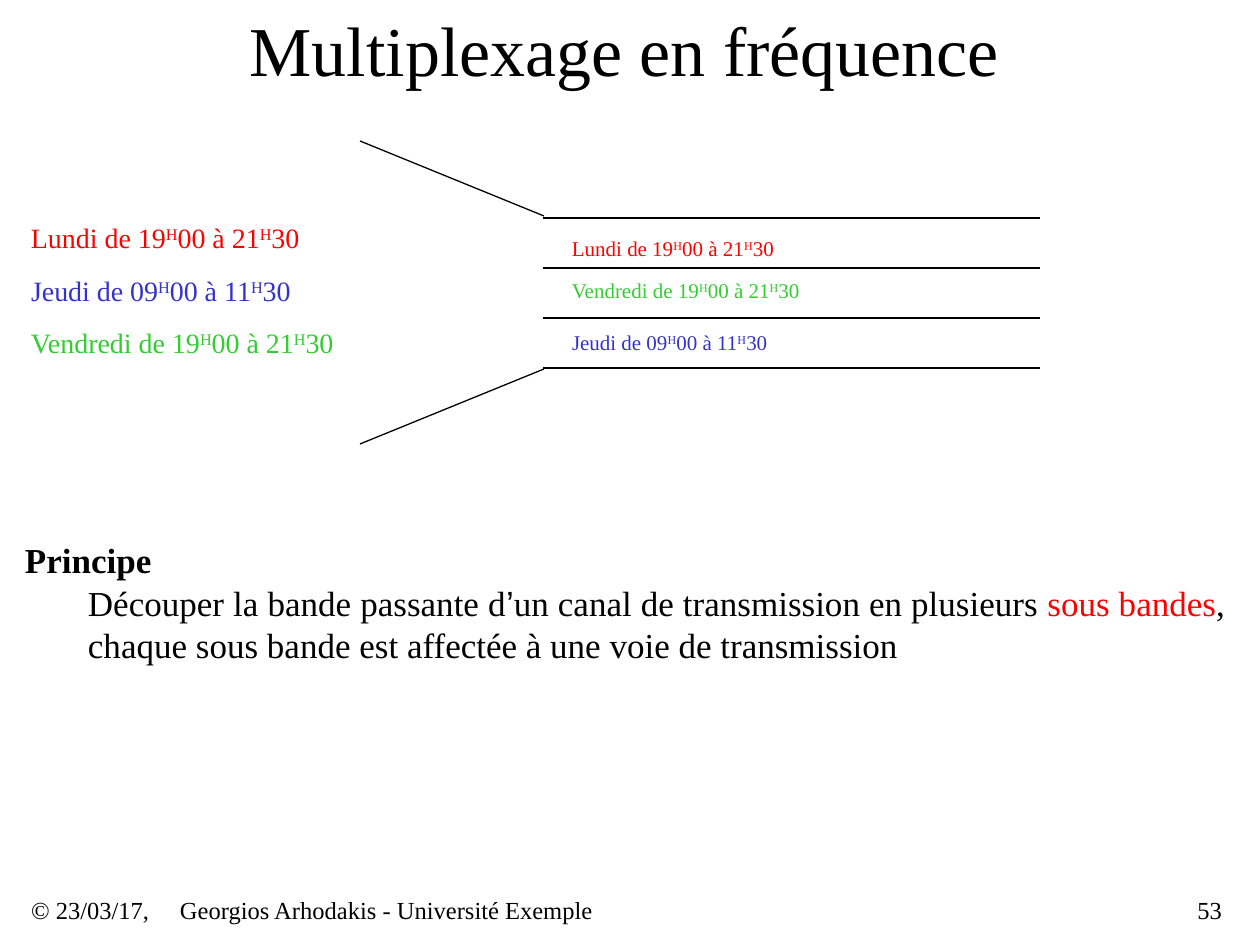
from typing import NamedTuple

from lxml.etree import SubElement
from pptx import Presentation
from pptx.dml.color import RGBColor
from pptx.enum.shapes import MSO_CONNECTOR
from pptx.enum.text import MSO_ANCHOR, PP_ALIGN
from pptx.oxml.ns import qn
from pptx.util import Emu, Inches, Pt

EMU_PER_PX = 914400 / 126
COLORS = {"black": "000000", "red": "FF0000", "blue": "3333CC", "green": "33CC33"}
SERIF = "Times New Roman"


class Box(NamedTuple):
    left: int
    top: int
    width: int
    height: int


class Slot(NamedTuple):
    text: str
    color: str
    width: int
    source_top: int
    band_top: int


class Footer(NamedTuple):
    text: str
    box: Box
    align: PP_ALIGN


SLOTS = [
    Slot("Lundi de 19H00 à 21H30", "red", 287, 220, 231),
    Slot("Jeudi de 09H00 à 11H30", "blue", 282, 273, 325),
    Slot("Vendredi de 19H00 à 21H30", "green", 328, 325, 273),
]
FOOTERS = [
    Footer("© 23/03/17,", Box(25, 892, 248, 35), PP_ALIGN.LEFT),
    Footer("Georgios Arhodakis - Université Exemple", Box(174, 892, 645, 35), PP_ALIGN.LEFT),
    Footer("53", Box(966, 892, 262, 35), PP_ALIGN.RIGHT),
]
SOURCE_LEFT, BAND_TEXT_LEFT, LABEL_HEIGHT = 25, 566, 35
BAND_LEFT, BAND_RIGHT, BAND_TOP, BAND_STEP = 543, 1040, 218, 50
FUNNEL_LEFT, FUNNEL_RIGHT = 360, 544
FUNNEL_SIDES = [(141, 216), (444, 369)]


def px(length: int) -> Emu:
    return Emu(round(length * EMU_PER_PX))


def add_span(para, text: str, *, size: int, color: str = "black", bold: bool = False,
             font: str = SERIF, raised: bool = False) -> None:
    span = para.add_run()
    span.text = text
    span.font.name = font
    span.font.size = Pt(size)
    span.font.bold = bold
    span.font.color.rgb = RGBColor.from_string(COLORS[color])
    if raised:
        span._r.get_or_add_rPr().set("baseline", "30000")


def place(shape, box: Box) -> None:
    shape.left, shape.top, shape.width, shape.height = map(px, box)


def add_text_box(page, box: Box, inset_x: int = 6, inset_y: int = 3):
    frame = page.shapes.add_textbox(*map(px, box)).text_frame
    frame.word_wrap = True
    frame.vertical_anchor = MSO_ANCHOR.MIDDLE
    frame.margin_left = frame.margin_right = px(inset_x)
    frame.margin_top = frame.margin_bottom = px(inset_y)
    return frame


def add_line(page, x1: int, y1: int, x2: int, y2: int) -> None:
    line = page.shapes.add_connector(MSO_CONNECTOR.STRAIGHT, px(x1), px(y1), px(x2), px(y2))
    line.line.width = Pt(0.75)
    line.line.color.rgb = RGBColor.from_string(COLORS["black"])
    SubElement(line._element.spPr, qn("a:effectLst"))


def add_slot_label(page, slot: Slot, left: int, top: int, size: int) -> None:
    """Write a time slot with each hour mark H raised."""
    para = add_text_box(page, Box(left, top, slot.width, LABEL_HEIGHT)).paragraphs[0]
    for index, part in enumerate(slot.text.split("H")):
        if index:
            add_span(para, "H", size=size, color=slot.color, raised=True)
        add_span(para, part, size=size, color=slot.color)


def add_title(page) -> None:
    title = page.shapes.title
    place(title, Box(136, 0, 977, 97))
    title.text_frame.vertical_anchor = MSO_ANCHOR.MIDDLE
    para = title.text_frame.paragraphs[0]
    para.alignment = PP_ALIGN.CENTER
    add_span(para, "Multiplexage en fréquence", size=40)


def add_principle(page) -> None:
    frame = add_text_box(page, Box(25, 539, 1200, 126), 0, 0)
    heading, body = frame.paragraphs[0], frame.add_paragraph()
    heading.alignment = body.alignment = PP_ALIGN.JUSTIFY
    add_span(heading, "Principe", size=20, bold=True)
    body.level = 1
    indent = body._p.get_or_add_pPr()
    indent.set("marL", str(Inches(0.5)))
    indent.set("indent", "0")
    add_span(body, "Découper la bande passante d", size=20)
    add_span(body, "’", size=20, font="Arial")
    add_span(body, "un canal de transmission en plusieurs ", size=20)
    add_span(body, "sous bandes", size=20, color="red")
    add_span(body, ", chaque sous bande est affectée à une voie de transmission", size=20)


def main() -> None:
    deck = Presentation()
    deck.slide_width, deck.slide_height = Inches(10), Inches(7.5)
    page = deck.slides.add_slide(deck.slide_layouts[5])

    for footer in FOOTERS:
        para = add_text_box(page, footer.box).paragraphs[0]
        para.alignment = footer.align
        add_span(para, footer.text, size=14)
    add_title(page)
    add_principle(page)

    for index in range(len(SLOTS) + 1):
        y = BAND_TOP + index * BAND_STEP
        add_line(page, BAND_LEFT, y, BAND_RIGHT, y)
    for outer_y, inner_y in FUNNEL_SIDES:
        add_line(page, FUNNEL_LEFT, outer_y, FUNNEL_RIGHT, inner_y)

    for slot in SLOTS:
        add_slot_label(page, slot, SOURCE_LEFT, slot.source_top, 16)
        add_slot_label(page, slot, BAND_TEXT_LEFT, slot.band_top, 12)

    deck.save("out.pptx")


if __name__ == "__main__":
    main()
